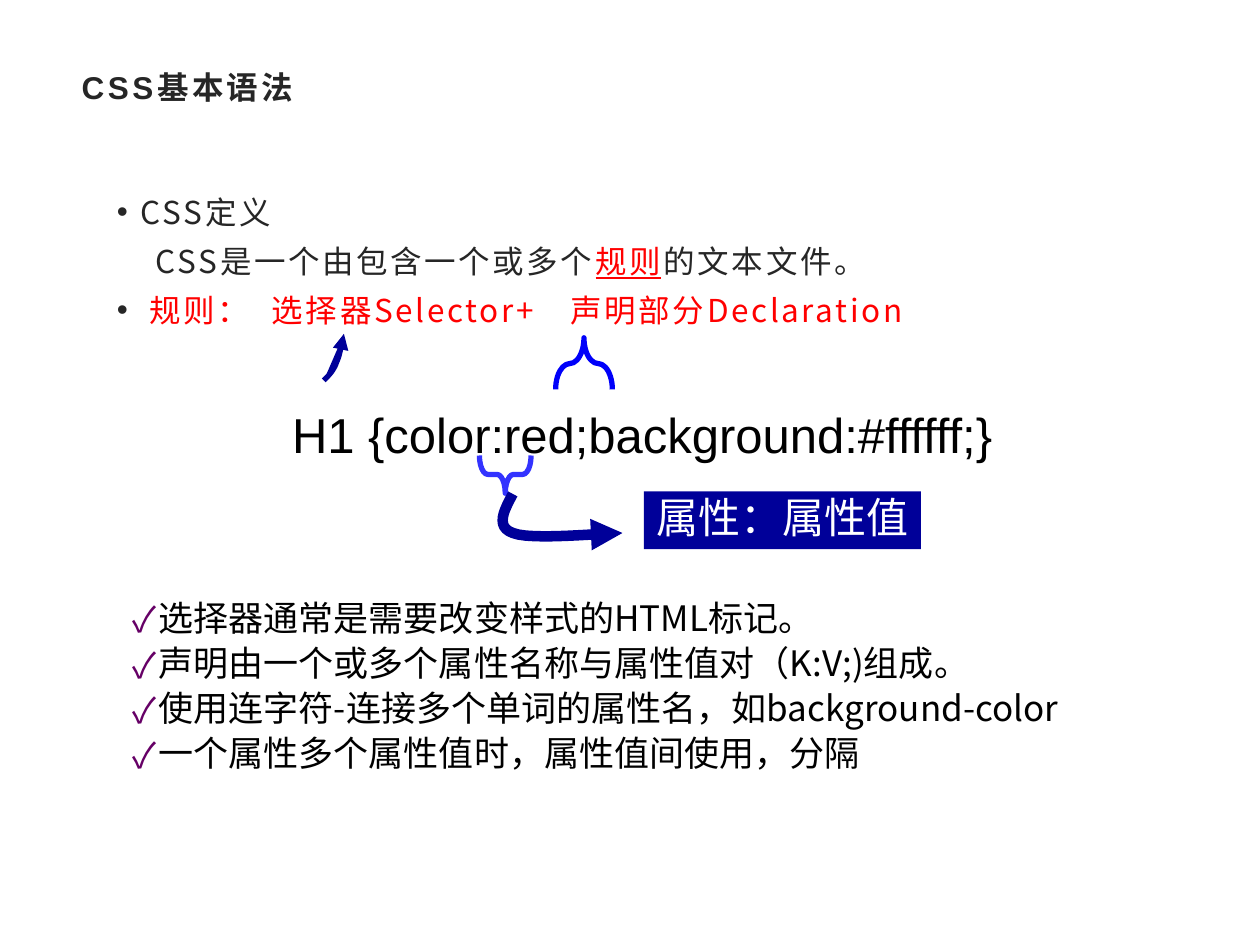
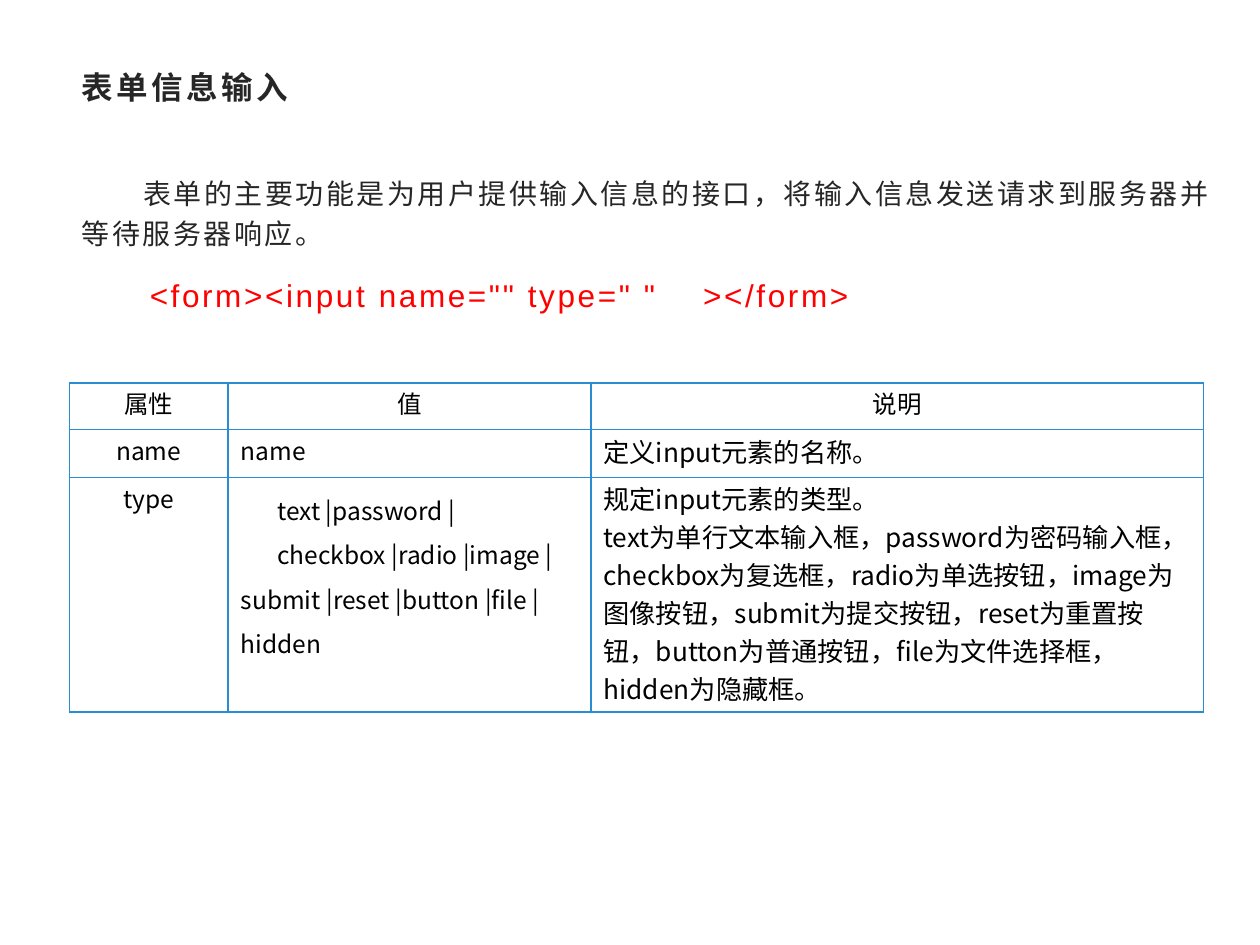
"""Build two teaching slides on CSS syntax and form input."""
from dataclasses import dataclass
from typing import Optional, Sequence

from lxml.etree import SubElement
from pptx import Presentation
from pptx.dml.color import RGBColor
from pptx.enum.shapes import MSO_SHAPE
from pptx.enum.text import MSO_ANCHOR, PP_ALIGN
from pptx.oxml.ns import qn
from pptx.util import Inches, Pt

INK = RGBColor(0x26, 0x26, 0x26)
BLACK = RGBColor(0, 0, 0)
WHITE = RGBColor(255, 255, 255)
RED = RGBColor(255, 0, 0)
NAVY = RGBColor(0, 0, 0x99)
BRIGHT_BLUE = RGBColor(0, 0, 0xFA)
SOFT_BLUE = RGBColor(0x33, 0x33, 0xFF)
PURPLE = RGBColor(0x66, 0, 0x66)
GRID_BLUE = RGBColor(0x2A, 0x8D, 0xD4)
LATIN = "Arial"
CJK = "Noto Sans CJK SC"


@dataclass(frozen=True)
class Span:
    """A piece of text with its own look."""
    text: str
    size: float = 18
    color: RGBColor = INK
    font: str = CJK
    bold: bool = False
    underline: bool = False
    spacing: float = 0


@dataclass(frozen=True)
class Para:
    """A paragraph with its layout, lengths in inches and points."""
    spans: Sequence[Span]
    margin: float = 0
    indent: float = 0
    line: float = 1.0
    after: float = 0
    bullet: str = ""
    bullet_color: RGBColor = INK
    bullet_font: str = LATIN
    tabs: Sequence[float] = ()
    align: PP_ALIGN = PP_ALIGN.LEFT


@dataclass(frozen=True)
class Brace:
    """A curly brace turned by a quarter."""
    kind: MSO_SHAPE
    left: float
    top: float
    width: float
    height: float
    curl: float
    color: RGBColor


@dataclass(frozen=True)
class CurvedArrow:
    """An arrow along joined cubic curves."""
    points: Sequence[tuple[float, float]]
    weight: float
    filled: bool


BRACES = (
    Brace(MSO_SHAPE.RIGHT_BRACE, 4.43, 2.66, 0.41, 0.45, 0.8, BRIGHT_BLUE),
    Brace(MSO_SHAPE.LEFT_BRACE, 3.86, 3.56, 0.3, 0.41, 0.22, SOFT_BLUE),
)
SELECTOR_ARROW = CurvedArrow(
    ((2.57, 3.02), (2.61, 2.98), (2.65, 2.94), (2.67, 2.88),
     (2.7, 2.82), (2.72, 2.69), (2.73, 2.65)), 3, True)
PROPERTY_ARROW = CurvedArrow(
    ((4.07, 3.92), (4, 4.05), (3.93, 4.18), (4.07, 4.23),
     (4.21, 4.29), (4.79, 4.23), (4.94, 4.23)), 6, False)
NOTES = (
    "选择器通常是需要改变样式的HTML标记。",
    "声明由一个或多个属性名称与属性值对（K:V;)组成。",
    "使用连字符-连接多个单词的属性名，如background-color",
    "一个属性多个属性值时，属性值间使用，分隔",
)
COLUMN_WIDTHS = (1.26, 2.88, 4.86)
ROW_HEIGHTS = (0.37, 0.38, 1.86)


def write_para(para, content: Para) -> None:
    """Fill one paragraph and format its runs."""
    properties = para._p.get_or_add_pPr()
    properties.set("marL", str(Inches(content.margin)))
    properties.set("indent", str(Inches(content.indent)))
    properties.set("hangingPunct", "0")
    if content.bullet:
        bullet_color = SubElement(properties, qn("a:buClr"))
        SubElement(bullet_color, qn("a:srgbClr"), val=str(content.bullet_color))
        SubElement(properties, qn("a:buFont"), typeface=content.bullet_font)
        SubElement(properties, qn("a:buChar"), char=content.bullet)
    else:
        SubElement(properties, qn("a:buNone"))
    if content.tabs:
        stops = SubElement(properties, qn("a:tabLst"))
        for stop in content.tabs:
            SubElement(stops, qn("a:tab"), pos=str(Inches(stop)), algn="l")
    para.alignment = content.align
    para.line_spacing = content.line
    para.space_before = Pt(0)
    para.space_after = Pt(content.after)
    for span in content.spans:
        run = para.add_run()
        run.text = span.text
        run.font.size = Pt(span.size)
        run.font.bold = span.bold
        run.font.underline = span.underline
        run.font.color.rgb = span.color
        run.font.name = span.font
        run_properties = run._r.get_or_add_rPr()
        run_properties.set("spc", str(int(span.spacing * 100)))
        run_properties.find(qn("a:latin")).addnext(
            run_properties.makeelement(qn("a:ea"), {"typeface": CJK}))


def write_frame(frame, paras: Sequence[Para]) -> None:
    """Write paragraphs into an empty text frame."""
    for index, content in enumerate(paras):
        write_para(frame.add_paragraph() if index else frame.paragraphs[0], content)


def add_text(page, left: float, top: float, width: float, height: float,
             paras: Sequence[Para], fill: Optional[RGBColor] = None,
             anchor: MSO_ANCHOR = MSO_ANCHOR.TOP, wrap: bool = True) -> None:
    """Add a text box, with a fill if one is given."""
    box = page.shapes.add_textbox(Inches(left), Inches(top), Inches(width), Inches(height))
    if fill is not None:
        box.fill.solid()
        box.fill.fore_color.rgb = fill
    box.text_frame.word_wrap = wrap
    box.text_frame.vertical_anchor = anchor
    write_frame(box.text_frame, paras)


def add_page(deck, title: str):
    """Add a blank page with the shared title."""
    page = deck.slides.add_slide(deck.slide_layouts[6])
    span = Span(title, font=LATIN, bold=True, spacing=2)
    add_text(page, 0.55, 0.45, 8.9, 0.48, [Para([span])], anchor=MSO_ANCHOR.MIDDLE)
    return page


def add_brace(page, brace: Brace) -> None:
    """Add a brace rotated to lie above or below the code."""
    shape = page.shapes.add_shape(brace.kind, Inches(brace.left), Inches(brace.top),
                                  Inches(brace.width), Inches(brace.height))
    shape.rotation = 270
    shape.adjustments[0] = brace.curl
    shape.adjustments[1] = 0.5
    shape.shadow.inherit = False
    shape.fill.background()
    shape.line.color.rgb = brace.color
    shape.line.width = Pt(3)


def curve_points(points: Sequence[tuple[float, float]],
                 steps: int = 12) -> list[tuple[int, int]]:
    """Sample joined cubic curves."""
    sampled = [(Inches(points[0][0]), Inches(points[0][1]))]
    for first in range(0, len(points) - 1, 3):
        controls = points[first:first + 4]
        for step in range(1, steps + 1):
            t = step / steps
            weights = ((1 - t) ** 3, 3 * t * (1 - t) ** 2, 3 * t ** 2 * (1 - t), t ** 3)
            x, y = (sum(weight * control[axis] for weight, control in zip(weights, controls))
                    for axis in (0, 1))
            sampled.append((Inches(x), Inches(y)))
    return sampled


def add_curved_arrow(page, arrow: CurvedArrow) -> None:
    """Add an open curve that ends in an arrowhead."""
    start, *others = curve_points(arrow.points)
    builder = page.shapes.build_freeform(*start)
    builder.add_line_segments(others, close=False)
    shape = builder.convert_to_shape()
    shape.shadow.inherit = False
    if arrow.filled:
        shape.fill.solid()
        shape.fill.fore_color.rgb = NAVY
    else:
        shape.fill.background()
    shape.line.color.rgb = NAVY
    shape.line.width = Pt(arrow.weight)
    SubElement(shape.line._get_or_add_ln(), qn("a:tailEnd"), type="triangle")


def style_cell(cell) -> None:
    """Clear the fill, set the margins and draw the four borders."""
    cell.margin_left = cell.margin_right = Inches(0.1)
    cell.margin_top = cell.margin_bottom = Inches(0.04)
    properties = cell._tc.get_or_add_tcPr()
    for side in ("lnL", "lnR", "lnT", "lnB"):
        border = SubElement(properties, qn(f"a:{side}"), w=str(Pt(1)))
        fill = SubElement(border, qn("a:solidFill"))
        SubElement(fill, qn("a:srgbClr"), val=str(GRID_BLUE))
    cell.fill.background()


def cell_para(text: str, size: float = 14, line: float = 0.9, indent: float = 0,
              align: PP_ALIGN = PP_ALIGN.LEFT) -> Para:
    """Describe a paragraph of a table cell."""
    return Para([Span(text, size, BLACK)], line=line, indent=indent, align=align)


def add_attribute_table(page) -> None:
    """Add the table of input attributes."""
    header = [[cell_para(text, align=PP_ALIGN.CENTER)] for text in ("属性", "值", "说明")]
    names = [[cell_para(text, align=PP_ALIGN.CENTER)] for text in ("name", "type")]
    types = [cell_para(text, line=1.25, indent=0.29) for text in (
        "text |password |", "checkbox |radio |image |submit |reset |button |file |hidden")]
    explanation = [
        cell_para("规定input元素的类型。", 15),
        cell_para("text为单行文本输入框，password为密码输入框，checkbox为复选框，"
                  "radio为单选按钮，image为图像按钮，submit为提交按钮，reset为重置按钮，"
                  "button为普通按钮，file为文件选择框，hidden为隐藏框。", 15, 1.0)]
    rows = (header,
            [names[0], [cell_para("name")], [cell_para("定义input元素的名称。", 15)]],
            [names[1], types, explanation])
    table = page.shapes.add_table(
        len(rows), len(COLUMN_WIDTHS), Inches(0.55), Inches(3.04),
        Inches(sum(COLUMN_WIDTHS)), Inches(sum(ROW_HEIGHTS))).table
    table.first_row = table.horz_banding = False
    for column, width in zip(table.columns, COLUMN_WIDTHS):
        column.width = Inches(width)
    for row, height, contents in zip(table.rows, ROW_HEIGHTS, rows):
        row.height = Inches(height)
        for cell, paras in zip(row.cells, contents):
            style_cell(cell)
            write_frame(cell.text_frame, paras)


def build_syntax_page(deck) -> None:
    """Build the page on basic CSS syntax."""
    page = add_page(deck, "CSS基本语法")
    add_text(page, 0.83, 1.39, 8.33, 1.43, [
        Para([Span("CSS定义", spacing=1.5)], 0.19, -0.19, 1.3, bullet="•"),
        Para([Span("CSS是一个由包含一个或多个", spacing=1.5),
              Span("规则", color=RED, underline=True, spacing=1.5),
              Span("的文本文件。", spacing=1.5)], 0.31, line=1.3),
        Para([Span("规则：\t选择器Selector+\t声明部分Declaration", color=RED, spacing=1.5)],
             0.26, -0.26, 1.3, bullet="•", tabs=(1.23, 3.6)),
    ])
    code = Span("H1 {color:red;background:#ffffff;}", 28, BLACK, LATIN)
    add_text(page, 1.46, 3.21, 7.74, 0.52, [Para([code], 0.76, line=0.9)], WHITE)
    add_curved_arrow(page, SELECTOR_ARROW)
    for brace in BRACES:
        add_brace(page, brace)
    label = Para([Span("属性：属性值", 24, WHITE, LATIN)], line=0.9, align=PP_ALIGN.CENTER)
    add_text(page, 5.11, 3.9, 2.2, 0.46, [label], NAVY, MSO_ANCHOR.MIDDLE, wrap=False)
    add_curved_arrow(page, PROPERTY_ARROW)
    add_text(page, 0.67, 4.72, 8.5, 1.51, [
        Para([Span(note, 20, BLACK)], 0.49, -0.21, 0.9, 4.2, "✓", PURPLE, CJK)
        for note in NOTES])


def build_form_page(deck) -> None:
    """Build the page on form input."""
    page = add_page(deck, "表单信息输入")
    purpose = Span("表单的主要功能是为用户提供输入信息的接口，将输入信息发送请求到服务器并等待服务器响应。",
                   16, spacing=1.5)
    code = Span('<form><input name="" type=" "    ></form>', 18, RED, LATIN, spacing=1.5)
    add_text(page, 0.55, 1.3, 9.31, 1.42, [
        Para([purpose], indent=0.49, line=1.2, after=10),
        Para([code], 0.54, line=1.2)])
    add_attribute_table(page)


def main() -> None:
    """Build and save the deck."""
    deck = Presentation()
    deck.slide_width, deck.slide_height = Inches(10), Inches(7.5)
    build_syntax_page(deck)
    build_form_page(deck)
    deck.save("out.pptx")


if __name__ == "__main__":
    main()
